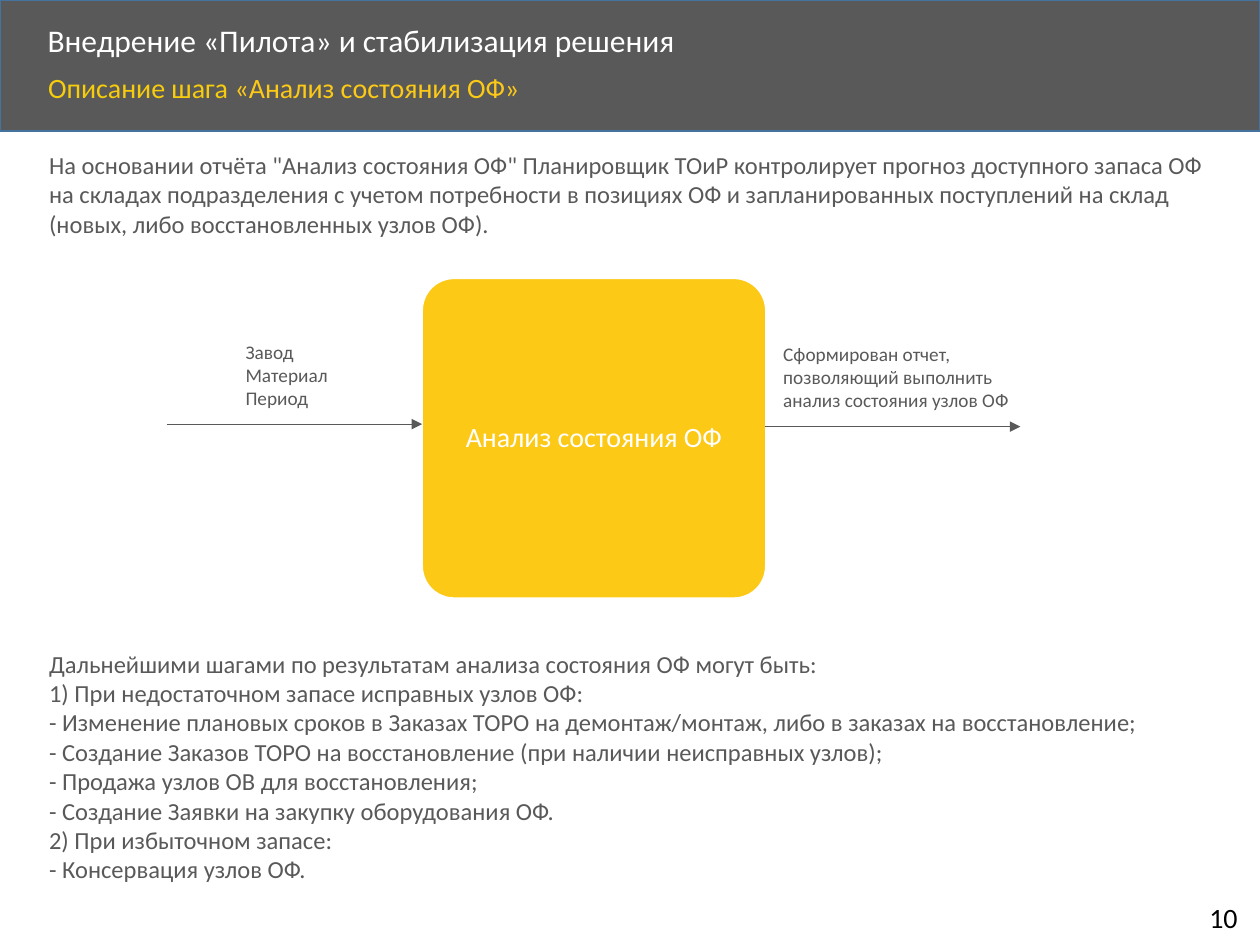
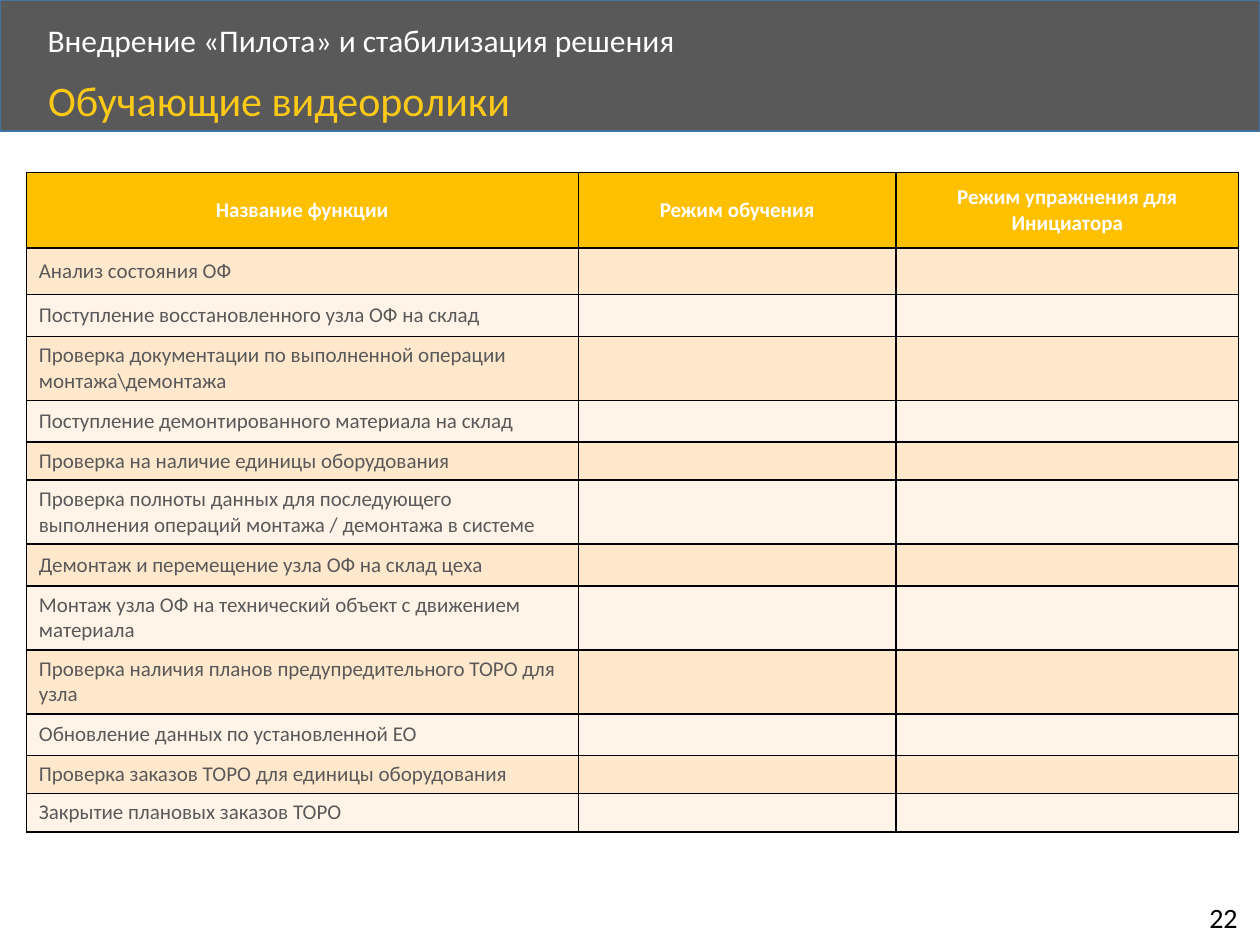
from dataclasses import dataclass
from itertools import cycle

from lxml.etree import SubElement
from pptx import Presentation
from pptx.dml.color import RGBColor
from pptx.enum.shapes import MSO_CONNECTOR, MSO_SHAPE
from pptx.enum.text import MSO_ANCHOR, MSO_AUTO_SIZE, PP_ALIGN
from pptx.oxml.ns import qn
from pptx.util import Cm, Pt

FONT = "Calibri"
COLORS = {
    "dark": "595959",
    "edge": "43739E",
    "white": "FFFFFF",
    "black": "000000",
    "gold": "FCC917",
    "title_gold": "F6CC0C",
    "head": "FFC000",
    "band_a": "FFE8CC",
    "band_b": "FFF4E7",
}
HEADING = "Внедрение «Пилота» и стабилизация решения"
TEXT_LEFT = 0.74


@dataclass
class TextBox:
    """Text box in cm; each paragraph is a list of (text, colour) runs."""
    x: float
    y: float
    w: float
    h: float
    paragraphs: list
    size: float
    spacing: float | None = None
    anchor: MSO_ANCHOR = MSO_ANCHOR.TOP
    grow: bool = True
    wrap: bool = True


@dataclass
class Arrow:
    x: float
    y: float
    length: float


def rgb(name: str) -> RGBColor:
    return RGBColor.from_string(COLORS[name])


def lines(*texts: str, color: str = "dark") -> list:
    return [[(text, color)] for text in texts]


def write_runs(p, runs: list, size: float, bold: bool = False) -> None:
    for text, color in runs:
        r = p.add_run()
        r.text = text
        for name, value in {"name": FONT, "size": Pt(size), "bold": bold}.items():
            setattr(r.font, name, value)
        r.font.color.rgb = rgb(color)


def add_text(s, box: TextBox) -> None:
    sp = s.shapes.add_textbox(Cm(box.x), Cm(box.y), Cm(box.w), Cm(box.h))
    tf = sp.text_frame
    fit = MSO_AUTO_SIZE.SHAPE_TO_FIT_TEXT if box.grow else MSO_AUTO_SIZE.NONE
    settings = {"word_wrap": box.wrap, "vertical_anchor": box.anchor, "auto_size": fit}
    for name, value in settings.items():
        setattr(tf, name, value)
    for i, runs in enumerate(box.paragraphs):
        p = tf.add_paragraph() if i else tf.paragraphs[0]
        if box.spacing:
            p.line_spacing = box.spacing
        write_runs(p, runs, box.size)


def add_block(s, kind: MSO_SHAPE, x: float, y: float, w: float, h: float,
              fill: str, line: str):
    sp = s.shapes.add_shape(kind, Cm(x), Cm(y), Cm(w), Cm(h))
    sp.shadow.inherit = False
    sp.fill.solid()
    sp.fill.fore_color.rgb = rgb(fill)
    sp.line.color.rgb = rgb(line)
    sp.line.width = Pt(1)
    return sp


def add_arrow(s, arrow: Arrow) -> None:
    y = Cm(arrow.y)
    sp = s.shapes.add_connector(MSO_CONNECTOR.STRAIGHT, Cm(arrow.x), y,
                                Cm(arrow.x + arrow.length), y)
    sp.line.color.rgb = rgb("dark")
    sp.line.width = Pt(0.5)
    SubElement(sp.line._get_or_add_ln(), qn("a:tailEnd"), type="triangle")
    SubElement(sp._element.spPr, qn("a:effectLst"))


def new_slide(prs, number: int, subtitle: list, size: float, top: float):
    """Blank slide with the header band, titles and page number."""
    s = prs.slides.add_slide(prs.slide_layouts[6])
    add_block(s, MSO_SHAPE.RECTANGLE, 0, 0, 25.4, 2.64, "dark", "edge")
    add_text(s, TextBox(0.71, 0.36, 20.5, 0.97, lines(HEADING, color="white"), 18,
                        spacing=0.9, anchor=MSO_ANCHOR.MIDDLE, grow=False))
    add_text(s, TextBox(24.13, 18.03, 1.17, 0.94, lines(str(number), color="black"),
                        16, wrap=False))
    add_text(s, TextBox(0.72, top, 22, 1.14, [subtitle], size,
                        spacing=0.9, grow=False))
    return s


# Analysis step
INTRO = (
    'На основании отчёта "Анализ состояния ОФ" Планировщик ТОиР контролирует '
    "прогноз доступного запаса ОФ на складах подразделения с учетом потребности "
    "в позициях ОФ и запланированных поступлений на склад (новых, либо "
    "восстановленных узлов ОФ)."
)
NEXT_STEPS = [
    "Дальнейшими шагами по результатам анализа состояния ОФ могут быть:",
    "1) При недостаточном запасе исправных узлов ОФ:",
    "- Изменение плановых сроков в Заказах ТОРО на демонтаж/монтаж, "
    "либо в заказах на восстановление;",
    "- Создание Заказов ТОРО на восстановление (при наличии неисправных узлов);",
    "- Продажа узлов ОВ для восстановления;",
    "- Создание Заявки на закупку оборудования ОФ.",
    "2) При избыточном запасе:",
    "- Консервация узлов ОФ.",
]
STEP_TEXTS = [
    TextBox(TEXT_LEFT, 2.9, 24.03, 2.06, lines(INTRO), 14),
    TextBox(4.7, 6.73, 5.08, 1.68, lines("Завод", "Материал", "Период"), 11),
    TextBox(15.54, 6.78, 5.08, 1.68, lines(
        "Сформирован отчет, позволяющий выполнить анализ состояния узлов ОФ"), 11),
    TextBox(TEXT_LEFT, 12.95, 23.34, 5.05, lines(*NEXT_STEPS), 14),
]
STEP_ARROWS = [Arrow(3.36, 8.55, 5.15), Arrow(15.42, 8.6, 5.15)]


def build_step(prs) -> None:
    subtitle = [("Описание шага ", "title_gold"), ("«Анализ состояния ОФ»", "gold")]
    s = new_slide(prs, 10, subtitle, 16, 1.37)
    sp = add_block(s, MSO_SHAPE.ROUNDED_RECTANGLE, 8.51, 5.61, 6.93, 6.45,
                   "gold", "white")
    sp.adjustments[0] = 0.1
    tf = sp.text_frame
    tf.vertical_anchor = MSO_ANCHOR.MIDDLE
    p = tf.paragraphs[0]
    p.alignment = PP_ALIGN.CENTER
    p.line_spacing = 0.9
    write_runs(p, [("Анализ состояния ОФ", "white")], 16)
    for arrow in STEP_ARROWS:
        add_arrow(s, arrow)
    for box in STEP_TEXTS:
        add_text(s, box)


# Training videos: row height in cm and function name
COLUMNS = [
    (11.13, "Название функции"),
    (6.4, "Режим обучения"),
    (6.91, "Режим упражнения для Инициатора"),
]
HEAD_HEIGHT = 1.52
ONE_LINE, MEDIUM, TWO_LINES = 0.77, 0.84, 1.29
FUNCTIONS = [
    (0.94, "Анализ состояния ОФ"),
    (MEDIUM, "Поступление восстановленного узла ОФ на склад"),
    (TWO_LINES, "Проверка документации по выполненной операции монтажа\\демонтажа"),
    (MEDIUM, "Поступление демонтированного материала на склад"),
    (ONE_LINE, "Проверка на наличие единицы оборудования"),
    (TWO_LINES, "Проверка полноты данных для последующего выполнения операций "
                "монтажа / демонтажа в системе"),
    (MEDIUM, "Демонтаж и перемещение узла ОФ на склад цеха"),
    (TWO_LINES, "Монтаж узла ОФ на технический объект с движением материала"),
    (TWO_LINES, "Проверка наличия планов предупредительного ТОРО для узла"),
    (MEDIUM, "Обновление данных по установленной ЕО"),
    (ONE_LINE, "Проверка заказов ТОРО для единицы оборудования"),
    (ONE_LINE, "Закрытие плановых заказов ТОРО"),
]


def format_cell(cell, text: str, fill: str, header: bool) -> None:
    tc_pr = cell._tc.get_or_add_tcPr()
    for side in ("lnL", "lnR", "lnT", "lnB"):
        ln = SubElement(tc_pr, qn(f"a:{side}"), w=str(Pt(1)))
        SubElement(SubElement(ln, qn("a:solidFill")), qn("a:srgbClr"),
                   val=COLORS["black"])
    cell.fill.solid()
    cell.fill.fore_color.rgb = rgb(fill)
    cell.vertical_anchor = MSO_ANCHOR.MIDDLE
    p = cell.text_frame.paragraphs[0]
    if header:
        p.alignment = PP_ALIGN.CENTER
    if text:
        write_runs(p, [(text, "white" if header else "dark")], 12, header)
    else:
        # Keeps an empty cell as low as a 12 pt line
        SubElement(p._p, qn("a:endParaRPr"), sz="1200")


def build_videos(prs) -> None:
    s = new_slide(prs, 22, [("Обучающие видеоролики", "gold")], 24, 1.5)
    widths, titles = zip(*COLUMNS)
    heights = [HEAD_HEIGHT] + [height for height, _ in FUNCTIONS]
    table = s.shapes.add_table(len(heights), len(widths), Cm(0.53), Cm(3.48),
                               Cm(sum(widths)), Cm(sum(heights))).table
    table.horz_banding = False
    for column, width in zip(table.columns, widths):
        column.width = Cm(width)
    for row, height in zip(table.rows, heights):
        row.height = Cm(height)
    for i, title in enumerate(titles):
        format_cell(table.cell(0, i), title, "head", True)
    bands = cycle(["band_a", "band_b"])
    for i, ((_, name), fill) in enumerate(zip(FUNCTIONS, bands), start=1):
        for j in range(len(widths)):
            format_cell(table.cell(i, j), "" if j else name, fill, False)


def main() -> None:
    prs = Presentation()
    prs.slide_width, prs.slide_height = Cm(25.4), Cm(19.05)
    build_step(prs)
    build_videos(prs)
    prs.save("out.pptx")


if __name__ == "__main__":
    main()
